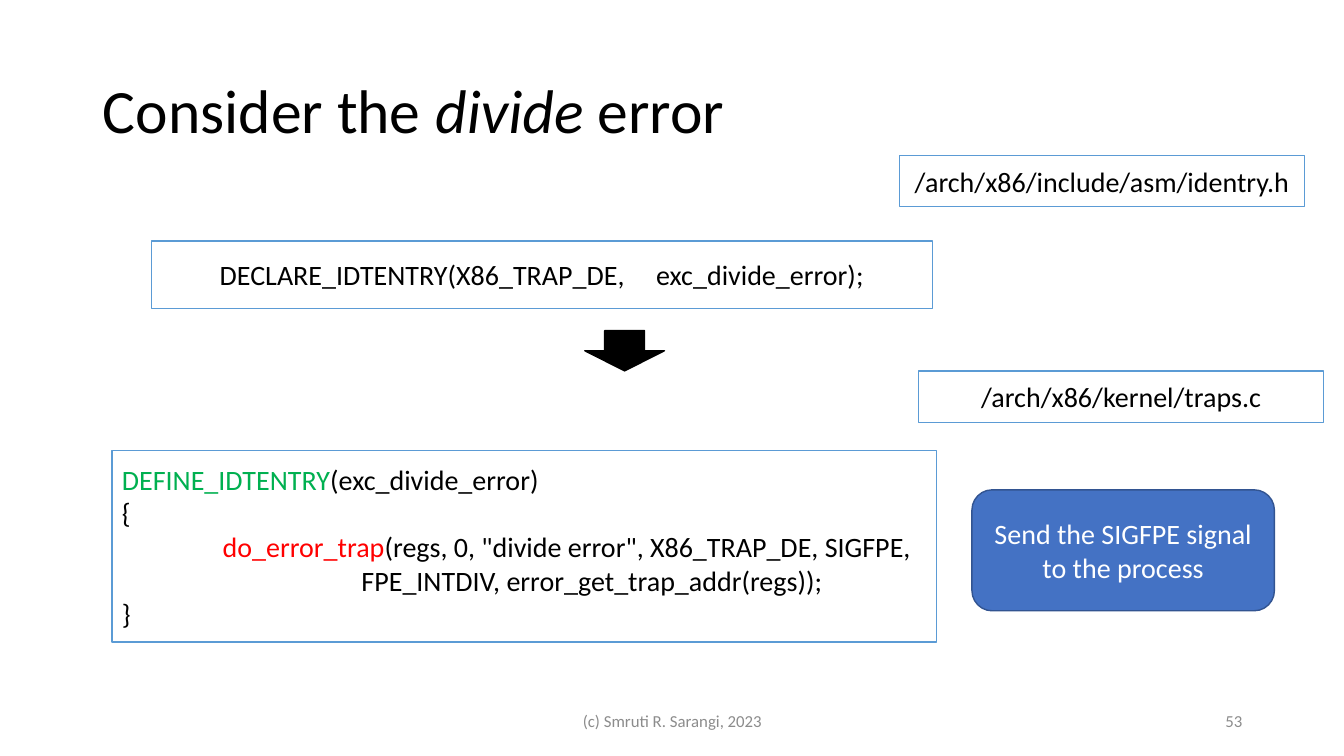
from dataclasses import dataclass

from lxml.etree import SubElement
from pptx import Presentation
from pptx.dml.color import RGBColor
from pptx.enum.shapes import MSO_SHAPE as Preset
from pptx.enum.text import MSO_ANCHOR as Anchor, MSO_AUTO_SIZE as AutoSize, PP_ALIGN as Align
from pptx.oxml.ns import qn
from pptx.slide import Slide
from pptx.text.text import TextFrame
from pptx.util import Inches, Pt

BLACK = RGBColor(0x00, 0x00, 0x00)
WHITE = RGBColor(0xFF, 0xFF, 0xFF)
GRAY = RGBColor(0x8C, 0x8C, 0x8C)
LIGHT_BLUE = RGBColor(0x5B, 0x9B, 0xD5)
BLUE = RGBColor(0x44, 0x72, 0xC4)
DARK_BLUE = RGBColor(0x32, 0x54, 0x91)
GREEN = RGBColor(0x00, 0xB0, 0x50)
RED = RGBColor(0xFF, 0x00, 0x00)
FONT = "Calibri"
TAB_STOPS = (1, 2)


@dataclass(frozen=True)
class Span:
    text: str
    color: RGBColor | None = None
    italic: bool | None = None


Line = tuple[Span, ...]


@dataclass(frozen=True)
class Box:
    left: float
    top: float
    width: float
    height: float
    lines: tuple[Line, ...] = ()
    preset: Preset = Preset.RECTANGLE
    fill: RGBColor = WHITE
    outline: RGBColor = LIGHT_BLUE
    color: RGBColor = BLACK
    align: Align = Align.CENTER


@dataclass(frozen=True)
class Footer:
    left: float
    width: float
    text: str
    align: Align


TITLE: Line = (Span("Consider the "), Span("divide", italic=True), Span(" error"))
HANDLER_CODE: tuple[Line, ...] = (
    (Span("DEFINE_IDTENTRY", GREEN), Span("(exc_divide_error)")),
    (Span("{"),),
    (Span("\t"), Span("do_error_trap", RED),
     Span('(regs, 0, "divide error", X86_TRAP_DE, SIGFPE,')),
    (Span("\t\t      FPE_INTDIV, error_get_trap_addr(regs));"),),
    (Span("}"),),
)
BOXES = (
    Box(1.5, 2.39, 7.75, 0.67,
        ((Span("DECLARE_IDTENTRY(X86_TRAP_DE,     exc_divide_error);"),),)),
    Box(8.92, 1.54, 4.02, 0.51, ((Span("/arch/x86/include/asm/identry.h"),),)),
    Box(5.8, 3.28, 0.79, 0.4, preset=Preset.DOWN_ARROW, fill=BLACK, outline=BLACK),
    Box(9.11, 3.68, 4.02, 0.51, ((Span("/arch/x86/kernel/traps.c"),),)),
    Box(1.11, 4.47, 8.18, 1.9, HANDLER_CODE, align=Align.LEFT),
    Box(9.64, 4.86, 3, 1.2, ((Span("Send the SIGFPE signal to the process"),),),
        Preset.ROUNDED_RECTANGLE, BLUE, DARK_BLUE, WHITE),
)
FOOTERS = (
    Footer(4.42, 4.5, "(c) Smruti R. Sarangi, 2023", Align.CENTER),
    Footer(9.42, 3, "53", Align.RIGHT),
)


def write_lines(frame: TextFrame, lines: tuple[Line, ...], size: float,
                color: RGBColor, align: Align) -> None:
    frame.word_wrap = True
    frame.auto_size = AutoSize.NONE
    frame.vertical_anchor = Anchor.MIDDLE
    for index, line in enumerate(lines):
        paragraph = frame.add_paragraph() if index else frame.paragraphs[0]
        paragraph.alignment = align
        if any("\t" in span.text for span in line):
            tab_list = SubElement(paragraph._p.get_or_add_pPr(), qn("a:tabLst"))
            for stop in TAB_STOPS:
                SubElement(tab_list, qn("a:tab"), pos=str(Inches(stop)), algn="l")
        paragraph.font.name = FONT
        paragraph.font.size = Pt(size)
        paragraph.font.color.rgb = color
        for span in line:
            run = paragraph.add_run()
            run.text = span.text
            if span.color is not None:
                run.font.color.rgb = span.color
            if span.italic is not None:
                run.font.italic = span.italic


def add_title(slide: Slide) -> None:
    title = slide.shapes.title
    title.left, title.top = Inches(0.92), Inches(0.4)
    title.width, title.height = Inches(11.5), Inches(1.45)
    write_lines(title.text_frame, (TITLE,), 44, BLACK, Align.LEFT)
    title.text_frame.paragraphs[0].line_spacing = 0.9


def add_box(slide: Slide, box: Box) -> None:
    shape = slide.shapes.add_shape(box.preset, Inches(box.left), Inches(box.top),
                                   Inches(box.width), Inches(box.height))
    shape.shadow.inherit = False
    shape.fill.solid()
    shape.fill.fore_color.rgb = box.fill
    shape.line.color.rgb = box.outline
    shape.line.width = Pt(1)
    write_lines(shape.text_frame, box.lines, 20, box.color, box.align)


def add_footer(slide: Slide, footer: Footer) -> None:
    shape = slide.shapes.add_textbox(Inches(footer.left), Inches(6.95),
                                     Inches(footer.width), Inches(0.4))
    write_lines(shape.text_frame, ((Span(footer.text),),), 12, GRAY, footer.align)


def main() -> None:
    presentation = Presentation()
    presentation.slide_width = Inches(13.33)
    presentation.slide_height = Inches(7.5)
    slide = presentation.slides.add_slide(presentation.slide_layouts.get_by_name("Title Only"))
    add_title(slide)
    for footer in FOOTERS:
        add_footer(slide, footer)
    for box in BOXES:
        add_box(slide, box)
    presentation.save("out.pptx")


if __name__ == "__main__":
    main()
